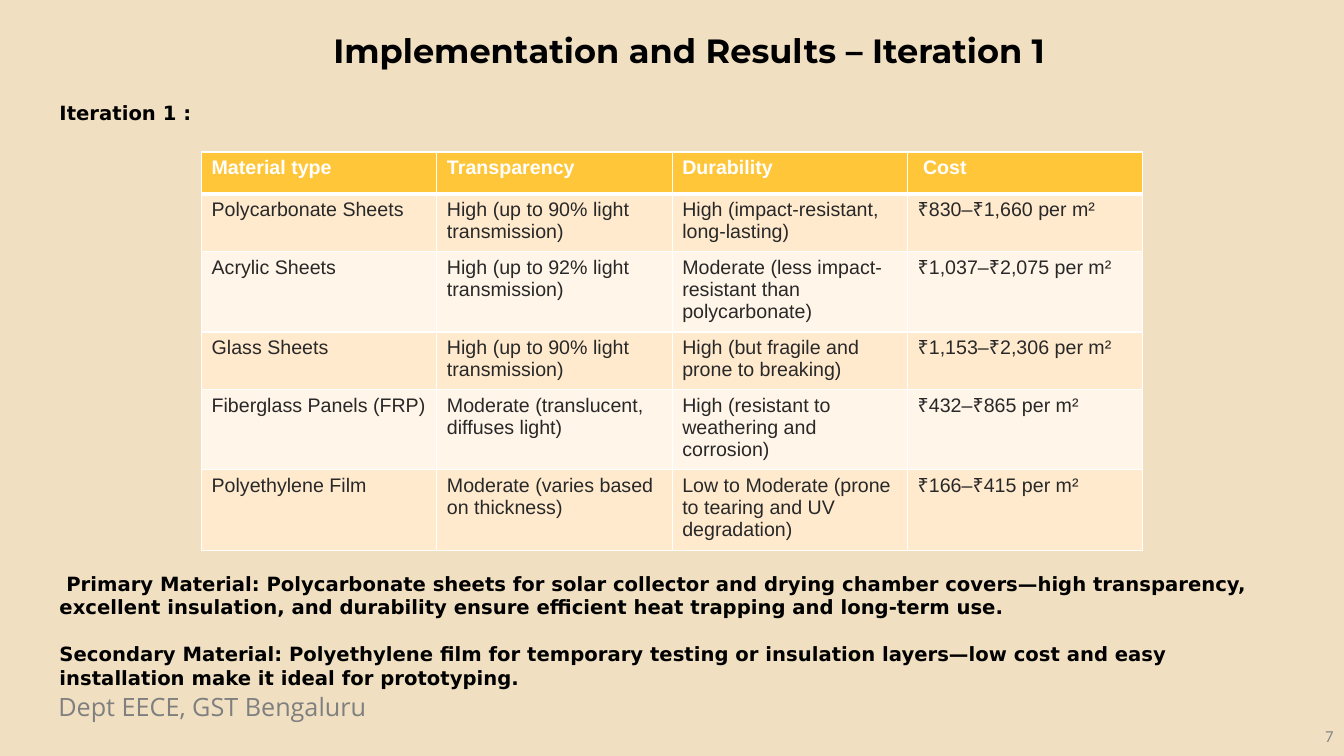
from lxml import etree
from pptx import Presentation
from pptx.dml.color import RGBColor
from pptx.enum.text import MSO_ANCHOR, PP_ALIGN
from pptx.oxml.ns import qn
from pptx.util import Cm, Pt

LEFT, CENTER, RIGHT = PP_ALIGN.LEFT, PP_ALIGN.CENTER, PP_ALIGN.RIGHT
TOP, MIDDLE = MSO_ANCHOR.TOP, MSO_ANCHOR.MIDDLE

# Content
TITLE = "Implementation and Results – Iteration 1"
SUBTITLE = "Iteration 1 :"
CHOICES = [
    " Primary Material: Polycarbonate sheets for solar collector and drying chamber "
    "covers—high transparency, excellent insulation, and durability ensure efficient "
    "heat trapping and long-term use.",
    "Secondary Material: Polyethylene film for temporary testing or insulation "
    "layers—low cost and easy installation make it ideal for prototyping.",
]
DEPARTMENT = "Dept EECE, GST Bengaluru"
PAGE_NUMBER = "7"
MATERIALS = [
    ("Material type", "Transparency", "Durability", " Cost"),
    ("Polycarbonate Sheets", "High (up to 90% light transmission)",
     "High (impact-resistant, long-lasting)", "₹830–₹1,660 per m²"),
    ("Acrylic Sheets", "High (up to 92% light transmission)",
     "Moderate (less impact-resistant than polycarbonate)", "₹1,037–₹2,075 per m²"),
    ("Glass Sheets", "High (up to 90% light transmission)",
     "High (but fragile and prone to breaking)", "₹1,153–₹2,306 per m²"),
    ("Fiberglass Panels (FRP)", "Moderate (translucent, diffuses light)",
     "High (resistant to weathering and corrosion)", "₹432–₹865 per m²"),
    ("Polyethylene Film", "Moderate (varies based on thickness)",
     "Low to Moderate (prone to tearing and UV degradation)", "₹166–₹415 per m²"),
]

# Theme: colours, then fonts by role
THEME = {
    "background": "F0E0C1",
    "header_fill": "FFC639",
    "band_fills": ("FFEACE", "FFF5E8"),
    "border": "FFFFFF",
    "title": {"name": "Montserrat", "size": Pt(24), "bold": True, "color": "000000"},
    "body": {"name": "DejaVu Sans", "size": Pt(14), "bold": True, "color": "000000"},
    "department": {"name": "Open Sans", "size": Pt(18), "bold": False, "color": "7F7F7F"},
    "number": {"name": "Calibri", "size": Pt(12), "bold": False, "color": "888888"},
    "header": {"name": "Arial", "size": Pt(14), "bold": True, "color": "FFFFFF"},
    "cell": {"name": "Arial", "size": Pt(14), "bold": False, "color": "282828"},
}

# Layout in cm: left, top, width, height
DEPARTMENT_BOX = (1.22, 17.3, 13.3, 1.02)
NUMBER_BOX = (26.24, 18.03, 7.62, 1.02)
TITLE_BOX = (2.77, 0.64, 29.2, 1.37)
SUBTITLE_BOX = (1.25, 2.41, 31.47, 0.85)
CHOICES_BOX = (1.25, 14.28, 31.47, 3.2)
TABLE_LEFT, TABLE_TOP = 5.08, 3.83
COLUMN_WIDTH, ROW_HEIGHT = 5.93, 1.06
CHOICE_GAP = Pt(16.8)


def style_font(font, role):
    for key, value in THEME[role].items():
        if key == "color":
            font.color.rgb = RGBColor.from_string(value)
        else:
            setattr(font, key, value)


def add_text(slide, box, paragraphs, role, align=LEFT, anchor=TOP, gap=Pt(0)):
    frame = slide.shapes.add_textbox(*map(Cm, box)).text_frame
    frame.word_wrap = True
    frame.vertical_anchor = anchor
    for index, text in enumerate(paragraphs):
        paragraph = frame.add_paragraph() if index else frame.paragraphs[0]
        paragraph.alignment = align
        if index:
            paragraph.space_before = gap
        run = paragraph.add_run()
        run.text = text
        style_font(run.font, role)


def set_borders(cell, widths):
    properties = cell._tc.get_or_add_tcPr()
    for side, width in widths.items():
        line = etree.SubElement(properties, qn(f"a:ln{side}"), w=str(Pt(width)))
        fill = etree.SubElement(line, qn("a:solidFill"))
        etree.SubElement(fill, qn("a:srgbClr"), val=THEME["border"])


def add_materials(slide):
    rows, columns = len(MATERIALS), len(MATERIALS[0])
    size = (COLUMN_WIDTH * columns, ROW_HEIGHT * rows)
    table = slide.shapes.add_table(
        rows, columns, *map(Cm, (TABLE_LEFT, TABLE_TOP, *size))).table
    for column in table.columns:
        column.width = Cm(COLUMN_WIDTH)
    for r, values in enumerate(MATERIALS):
        table.rows[r].height = Cm(ROW_HEIGHT)
        role = "cell" if r else "header"
        fill = THEME["band_fills"][(r - 1) % 2] if r else THEME["header_fill"]
        # The rule under the header is thicker than the others
        widths = {"L": 1, "R": 1, "T": 3 if r == 1 else 1, "B": 1 if r else 3}
        for c, value in enumerate(values):
            cell = table.cell(r, c)
            set_borders(cell, widths)
            cell.fill.solid()
            cell.fill.fore_color.rgb = RGBColor.from_string(fill)
            run = cell.text_frame.paragraphs[0].add_run()
            run.text = value
            style_font(run.font, role)


def main():
    deck = Presentation()
    deck.slide_width, deck.slide_height = Cm(33.87), Cm(19.05)
    slide = deck.slides.add_slide(deck.slide_layouts[6])
    slide.background.fill.solid()
    slide.background.fill.fore_color.rgb = RGBColor.from_string(THEME["background"])

    # Footer
    add_text(slide, DEPARTMENT_BOX, [DEPARTMENT], "department")
    add_text(slide, NUMBER_BOX, [PAGE_NUMBER], "number", RIGHT, MIDDLE)

    # Headings and material choices
    add_text(slide, TITLE_BOX, [TITLE], "title", CENTER)
    add_text(slide, SUBTITLE_BOX, [SUBTITLE], "body")
    add_text(slide, CHOICES_BOX, CHOICES, "body", gap=CHOICE_GAP)

    # Comparison table
    add_materials(slide)
    deck.save("out.pptx")


if __name__ == "__main__":
    main()
